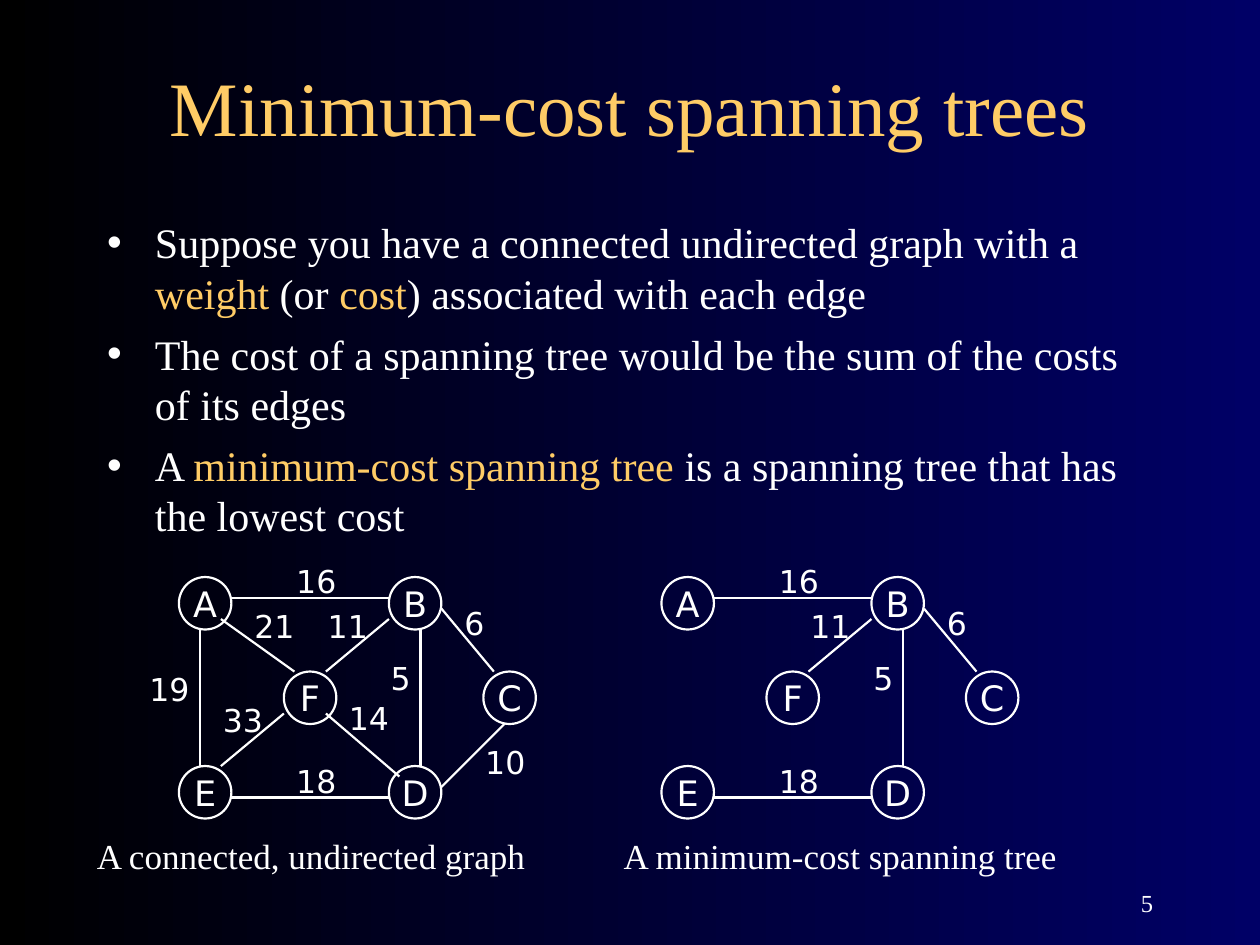
from lxml.etree import SubElement
from pptx import Presentation
from pptx.dml.color import RGBColor
from pptx.enum.shapes import MSO_CONNECTOR, MSO_SHAPE
from pptx.enum.text import MSO_ANCHOR, MSO_AUTO_SIZE, PP_ALIGN
from pptx.oxml.ns import qn
from pptx.util import Inches, Pt

COLORS = {"text": "FFFFFF", "accent": "FFCC66", "right": "000066", "left": "000000"}
SERIF, SANS = "Times New Roman", "DejaVu Sans"
STEP = 1 / 12
NODE_SIZE = 5 * STEP

BULLETS = [
    [("Suppose you have a connected undirected graph with a ", "text"),
     ("weight", "accent"), (" (or ", "text"), ("cost", "accent"),
     (") associated with each edge", "text")],
    [("The cost of a spanning tree would be the sum of the costs of its edges", "text")],
    [("A ", "text"), ("minimum-cost spanning tree", "accent"),
     (" is a spanning tree that has the lowest cost", "text")],
]

# Graph positions are counted in steps from the corner of node A.
NODES = {"A": (0, 0), "B": (20, 0), "E": (0, 18), "D": (20, 18), "F": (10, 9), "C": (29, 9)}
EDGES = {
    "AB": ((5, 2), (20, 2), "16", (10, -2)),
    "AE": ((2, 5), (2, 18), "19", (-4, 8.25)),
    "AF": ((4, 4), (11, 9), "21", (6, 2.25)),
    "BF": ((20, 4), (14, 9), "11", (13, 2.25)),
    "EF": ((4, 18), (10, 13), "33", (3, 11.25)),
    "DF": ((21, 19), (14, 13), "14", (15, 11)),
    "ED": ((5, 21), (20, 21), "18", (10, 17)),
    "CD": ((25, 20), (31, 14), "10", (28, 15.25)),
    "BC": ((25, 3), (30, 9), "6", (26, 2)),
    "BD": ((23, 5), (23, 18), "5", (19, 7.2)),
}
TREE = ["AB", "BF", "ED", "BC", "BD"]


def color(name):
    return RGBColor.from_string(COLORS[name])


def apply_format(target, values):
    for name, value in values.items():
        setattr(target, name, value)


def place(shape, box):
    names = ("left", "top", "width", "height")
    apply_format(shape, dict(zip(names, map(Inches, box))))


def add_span(para, text, size, font=SERIF, tint="text"):
    span = para.add_run()
    span.text = text
    apply_format(span.font, {"size": Pt(size), "name": font})
    span.font.color.rgb = color(tint)


def add_text(parent, box, text, size, font=SERIF, align=PP_ALIGN.LEFT,
             anchor=MSO_ANCHOR.TOP, wrap=True):
    shape = parent.shapes.add_textbox(*map(Inches, box))
    apply_format(shape.text_frame, {"word_wrap": wrap, "vertical_anchor": anchor})
    para = shape.text_frame.paragraphs[0]
    para.alignment = align
    add_span(para, text, size, font)


def paint_background(page):
    fill = page.background.fill
    fill.gradient()
    fill.gradient_angle = 180
    for stop, name in zip(fill.gradient_stops, ("right", "left")):
        stop.color.rgb = color(name)


def fill_title(title, box):
    place(title, box)
    apply_format(title.text_frame, {"vertical_anchor": MSO_ANCHOR.MIDDLE,
                                    "auto_size": MSO_AUTO_SIZE.NONE})
    para = title.text_frame.paragraphs[0]
    para.alignment = PP_ALIGN.CENTER
    add_span(para, "Minimum-cost spanning trees", 44, tint="accent")


def fill_body(body, box):
    place(body, box)
    frame = body.text_frame
    frame.auto_size = MSO_AUTO_SIZE.NONE
    for index, spans in enumerate(BULLETS):
        para = frame.add_paragraph() if index else frame.paragraphs[0]
        para.space_before = Pt(6 if index else 0)
        properties = para._p.get_or_add_pPr()
        properties.set("marL", str(Inches(0.38)))
        properties.set("indent", str(Inches(-0.38)))
        bullet_color = SubElement(properties, qn("a:buClr"))
        SubElement(bullet_color, qn("a:srgbClr"), val=COLORS["text"])
        SubElement(properties, qn("a:buChar"), char="•")
        for text, tint in spans:
            add_span(para, text, 24, tint=tint)


def style_line(line):
    line.color.rgb = color("text")
    line.width = Pt(1.25)


def add_node(group, name, left, top):
    node = group.shapes.add_shape(
        MSO_SHAPE.OVAL, *map(Inches, (left, top, NODE_SIZE, NODE_SIZE)))
    node.shadow.inherit = False
    node.fill.background()
    style_line(node.line)
    apply_format(node.text_frame, {"word_wrap": False, "vertical_anchor": MSO_ANCHOR.MIDDLE})
    para = node.text_frame.paragraphs[0]
    para.alignment = PP_ALIGN.CENTER
    add_span(para, name, 20, SANS)


def add_edge(group, start, end):
    edge = group.shapes.add_connector(MSO_CONNECTOR.STRAIGHT, *map(Inches, start + end))
    style_line(edge.line)
    SubElement(edge._element.spPr, qn("a:effectLst"))


def add_graph(page, left, top, edges, caption, caption_box, wrap):
    def locate(point):
        return left + point[0] * STEP, top + point[1] * STEP

    group = page.shapes.add_group_shape()
    for name, point in NODES.items():
        add_node(group, name, *locate(point))
    for key in edges:
        start, end, _, _ = EDGES[key]
        add_edge(group, locate(start), locate(end))
    for key in edges:
        _, _, weight, point = EDGES[key]
        add_text(group, (*locate(point), 7 * STEP, 0.4), weight, 18, SANS)
    add_text(group, caption_box, caption, 20, wrap=wrap)


def main():
    deck = Presentation()
    apply_format(deck, {"slide_width": Inches(10), "slide_height": Inches(7.5)})
    page = deck.slides.add_slide(deck.slide_layouts[1])
    paint_background(page)
    fill_title(page.shapes.title, (0.75, 0.42, 8.5, 0.83))
    fill_body(page.placeholders[1], (0.75, 1.67, 8.5, 2.67))
    add_graph(page, 1.42, 4.58, EDGES, "A connected, undirected graph",
              (0.67, 6.57, 3.75, 0.44), True)
    add_graph(page, 5.25, 4.58, TREE, "A minimum-cost spanning tree",
              (4.85, 6.57, 3.65, 0.44), False)
    add_text(page, (7.17, 6.83, 2.08, 0.5), "5", 14,
             align=PP_ALIGN.RIGHT, anchor=MSO_ANCHOR.BOTTOM)
    deck.save("out.pptx")


if __name__ == "__main__":
    main()
